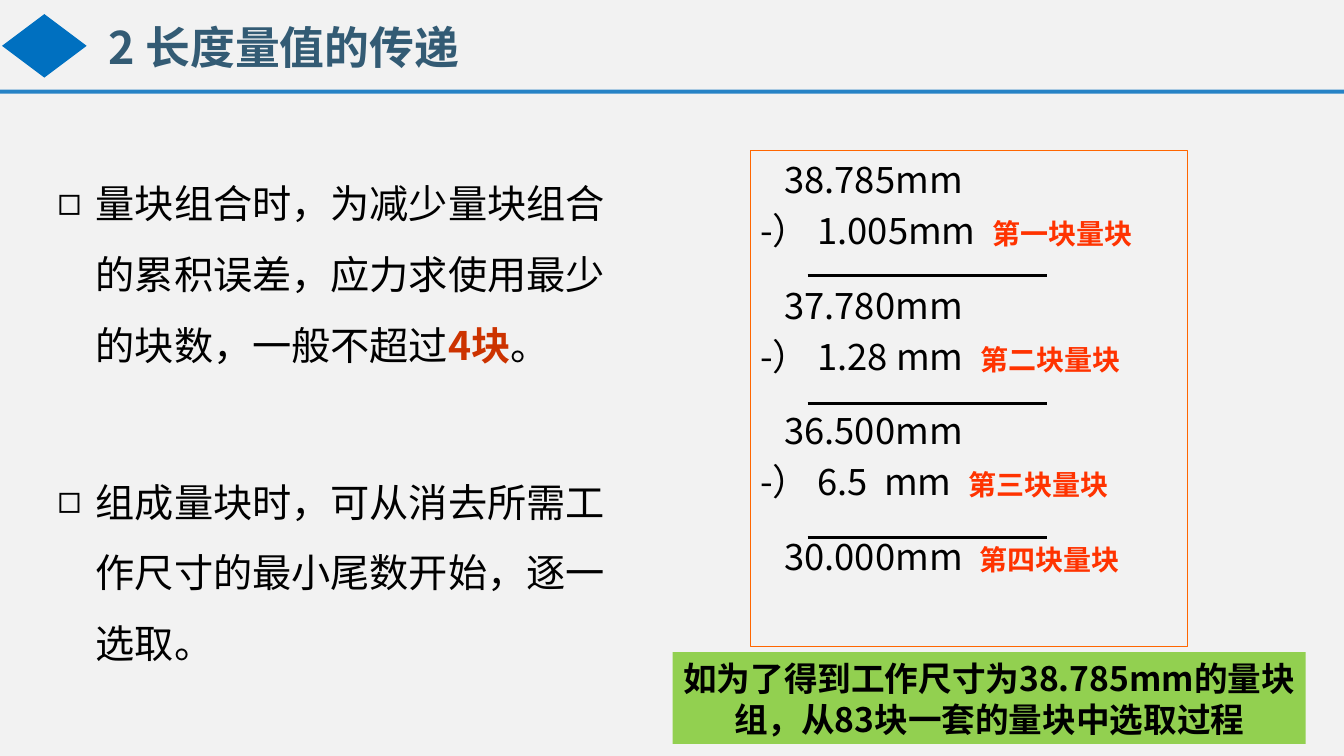
import pptx
import pptx.dml.color
import pptx.enum.shapes
import pptx.enum.text
import pptx.oxml.ns
import pptx.util
from lxml import etree

PX = 9144
ANCHOR = pptx.enum.text.MSO_ANCHOR
ALIGN = pptx.enum.text.PP_ALIGN
SHAPE = pptx.enum.shapes.MSO_SHAPE
COLOURS = {
    "paper": "F2F2F2", "bar": "2683C6", "emblem": "0070C0",
    "title": "335B74", "text": "000000", "strong": "CC3300",
    "frame": "FF6600", "label": "FF3300", "note": "92D050",
}


class SlideWriter:
    """Draws styled elements on one slide."""

    font = "Noto Sans CJK SC"
    wide_gap = (" ", 26, "text", False, 580)

    def __init__(self, deck):
        self.page = deck.slides.add_slide(deck.slide_layouts[1])
        self.paint(self.page.background.fill, "paper")

    def colour(self, name):
        return pptx.dml.color.RGBColor.from_string(COLOURS[name])

    def paint(self, fill, name):
        fill.solid()
        fill.fore_color.rgb = self.colour(name)

    def apply(self, target, values):
        for name, value in values.items():
            setattr(target, name, value)

    def place(self, box, area):
        names = ("left", "top", "width", "height")
        self.apply(box, {name: px * PX for name, px in zip(names, area)})

    def frame(self, box, anchor, margin_top=5):
        self.apply(box.text_frame, {
            "word_wrap": True, "vertical_anchor": anchor,
            "auto_size": pptx.enum.text.MSO_AUTO_SIZE.NONE,
            "margin_left": 10 * PX, "margin_right": 10 * PX,
            "margin_top": margin_top * PX, "margin_bottom": 5 * PX,
        })

    def shape(self, kind, area, fill=None, line=None):
        box = self.page.shapes.add_shape(kind, *(px * PX for px in area))
        box.shadow.inherit = False
        box._element.remove(box._element.find(pptx.oxml.ns.qn("p:style")))
        if fill:
            self.paint(box.fill, fill)
        else:
            box.fill.background()
        if line:
            self.paint(box.line.fill, line)
            box.line.width = pptx.util.Pt(0.75)
        else:
            box.line.fill.background()
        return box

    def para(self, box, index, spans, pitch=None, before=0, align=ALIGN.LEFT,
             left=0, bullet=None):
        text_frame = box.text_frame
        para = text_frame.add_paragraph() if index else text_frame.paragraphs[0]
        settings = para._p.get_or_add_pPr()
        settings.set("marL", str(left * PX))
        settings.set("indent", str(-left * PX if bullet else 0))
        if bullet:
            self.child(settings, "buChar", char=bullet)
        else:
            self.child(settings, "buNone")
        self.apply(para, {
            "alignment": align,
            "line_spacing": pptx.util.Pt(pitch) if pitch else 1.0,
            "space_before": pptx.util.Pt(before if index else 0),
        })
        for text, size, colour, bold, *spacing in spans:
            span = para.add_run()
            span.text = text
            self.apply(span.font, {
                "name": self.font, "size": pptx.util.Pt(size), "bold": bold,
            })
            span.font.color.rgb = self.colour(colour)
            self.child(span.font._element, "ea", typeface=self.font)
            for value in spacing:
                span.font._element.set("spc", str(value))

    def child(self, parent, tag, **values):
        return etree.SubElement(parent, pptx.oxml.ns.qn("a:" + tag), **values)

    def title(self, text, area):
        box = self.page.shapes.title
        self.place(box, area)
        self.frame(box, ANCHOR.MIDDLE)
        self.para(box, 0, [(text, 32, "title", True)])

    def bullets(self, items, area):
        box = self.page.placeholders[1]
        self.place(box, area)
        self.frame(box, ANCHOR.TOP)
        for index, spans in enumerate(items):
            self.para(box, index, spans, pitch=50.4, before=61.7,
                      left=38, bullet="◻")

    def subtraction(self, rows, area):
        box = self.shape(SHAPE.RECTANGLE, area, line="frame")
        self.frame(box, ANCHOR.TOP, margin_top=0)
        for index, (*numbers, label) in enumerate(rows):
            spans = []
            for number in numbers:
                spans.append((number, 26, "text", False))
                if label:
                    spans.append(self.wide_gap)
            if label:
                spans.append((label, 20, "label", True))
            is_minuend = index % 2 == 0
            self.para(box, index, spans, pitch=36.4,
                      before=16.8 if is_minuend else 0,
                      left=24 if is_minuend else 0)

    def note(self, text, area):
        box = self.shape(SHAPE.RECTANGLE, area, fill="note")
        self.frame(box, ANCHOR.MIDDLE)
        self.para(box, 0, [(text, 24, "text", True)], pitch=29.3,
                  align=ALIGN.CENTER)

    def rule(self, left, right, y):
        line = self.page.shapes.add_connector(
            pptx.enum.shapes.MSO_CONNECTOR.STRAIGHT,
            left * PX, y * PX, right * PX, y * PX)
        line.line.color.rgb = self.colour("text")
        line.line.width = pptx.util.Pt(2)
        self.child(line._element.spPr, "effectLst")


def main():
    deck = pptx.Presentation()
    deck.slide_width, deck.slide_height = 1333 * PX, 750 * PX
    writer = SlideWriter(deck)

    writer.shape(SHAPE.DIAMOND, (2, 14, 84, 63), fill="emblem")
    writer.shape(SHAPE.RECTANGLE, (0, 89, 1333, 4), fill="bar")
    writer.title("2 长度量值的传递", (98, -4, 899, 100))
    writer.bullets([
        [("量块组合时，为减少量块组合的累积误差，应力求使用最少的块数，一般不超过",
          28, "text", False),
         ("4块", 28, "strong", True),
         ("。", 28, "text", False)],
        [("组成量块时，可从消去所需工作尺寸的最小尾数开始，逐一选取。",
          28, "text", False)],
    ], (47, 150, 576, 575))
    writer.subtraction([
        ("38.785mm", ""),
        ("-） 1.005mm", "第一块量块"),
        ("37.780mm", ""),
        ("-） 1.28 mm", "第二块量块"),
        ("36.500mm", ""),
        ("-） 6.5", "mm", "第三块量块"),
        ("30.000mm", "第四块量块"),
    ], (744, 149, 434, 492))
    for y in (273, 400, 533):
        writer.rule(801, 1038, y)
    writer.note("如为了得到工作尺寸为38.785mm的量块组，从83块一套的量块中选取过程",
                (667, 647, 628, 91))

    deck.save("out.pptx")


if __name__ == "__main__":
    main()
